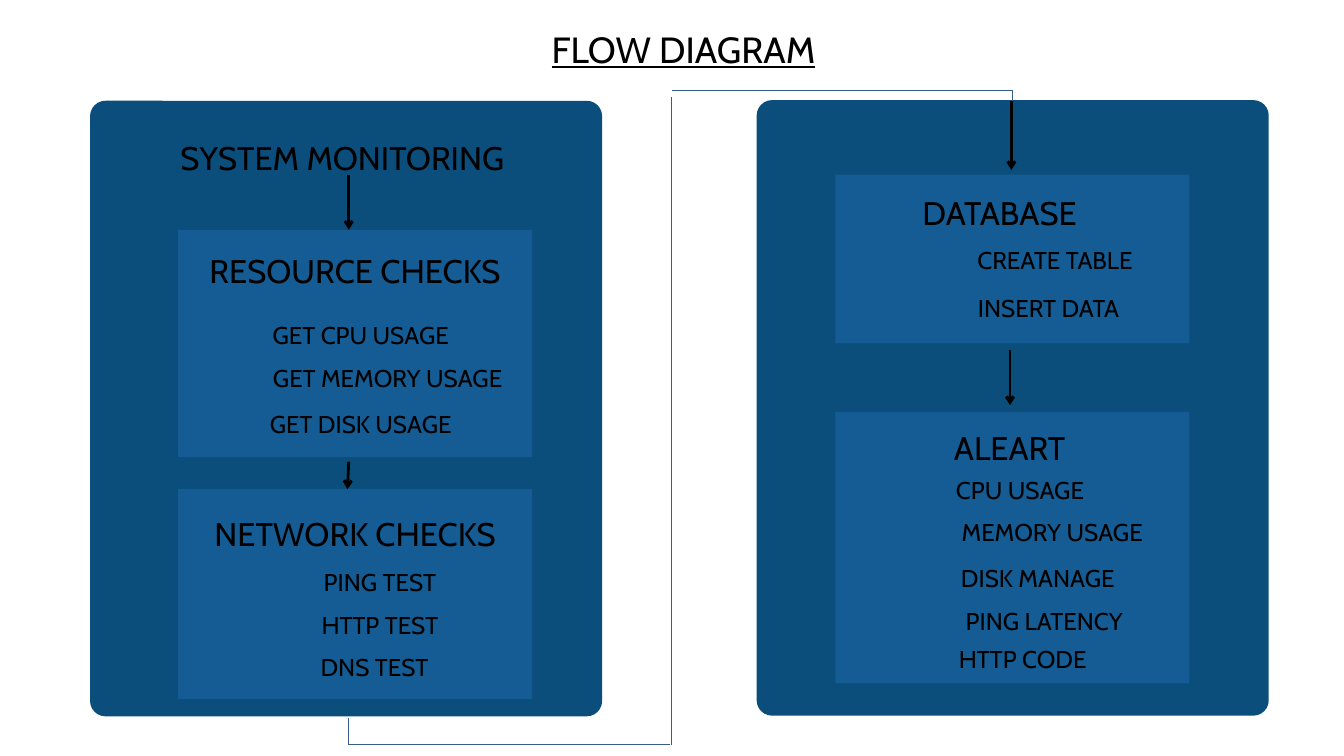
from lxml.etree import SubElement
from pptx import Presentation
from pptx.dml.color import RGBColor
from pptx.enum.shapes import MSO_CONNECTOR, MSO_SHAPE
from pptx.enum.text import MSO_ANCHOR, MSO_AUTO_SIZE, PP_ALIGN
from pptx.oxml.ns import qn
from pptx.util import Inches, Pt

COLORS = {"panel": "0B4E7C", "box": "155C94", "text": "000000",
          "arrow": "000000", "link": "375D8B"}
FRAME = {"margin_left": 0, "margin_top": 0, "margin_right": 0, "margin_bottom": 0,
         "word_wrap": True, "auto_size": MSO_AUTO_SIZE.NONE,
         "vertical_anchor": MSO_ANCHOR.TOP}


def color(name):
    return RGBColor.from_string(COLORS[name])


def write(sp, text, size, underline=None):
    tf = sp.text_frame
    for name, value in FRAME.items():
        setattr(tf, name, value)
    p = tf.paragraphs[0]
    p.alignment = PP_ALIGN.CENTER
    p.line_spacing = Pt(size * 1.4)
    r = p.add_run()
    r.text = text
    font = {"name": "Cabin", "size": Pt(size), "underline": underline}
    for name, value in font.items():
        setattr(r.font, name, value)
    r.font.color.rgb = color("text")


prs = Presentation()
prs.slide_width, prs.slide_height = Inches(20), Inches(11.25)
s = prs.slides.add_slide(prs.slide_layouts[5])

# Title
title = s.shapes.title
title.left, title.top = Inches(6.54), Inches(0.29)
title.width, title.height = Inches(7.26), Inches(0.76)
write(title, "FLOW DIAGRAM", 39, True)

# Panels and the boxes inside them
blocks = [
    ("panel", 1.34, 1.5, 7.62, 9.16),
    ("panel", 11.26, 1.49, 7.62, 9.16),
    ("box", 2.65, 3.42, 5.27, 3.38),
    ("box", 2.65, 7.28, 5.27, 3.12),
    ("box", 12.43, 2.6, 5.27, 2.51),
    ("box", 12.43, 6.13, 5.27, 4.04),
]
for kind, *place in blocks:
    preset = MSO_SHAPE.ROUNDED_RECTANGLE if kind == "panel" else MSO_SHAPE.RECTANGLE
    sp = s.shapes.add_shape(preset, *map(Inches, place))
    if kind == "panel":
        sp.adjustments[0] = 0.03
    sp.shadow.inherit = False
    sp.fill.solid()
    sp.fill.fore_color.rgb = color(kind)
    sp.line.fill.background()

# Headings and steps: text, left, top, width
headings = [
    ("SYSTEM MONITORING ", 1.57, 1.95, 7.16),
    ("RESOURCE CHECKS", 2.65, 3.64, 5.27),
    ("NETWORK CHECKS", 2.65, 7.55, 5.27),
    ("DATABASE ", 12.39, 2.77, 5.08),
    ("ALEART", 12.39, 6.27, 5.27),
]
steps = [
    ("GET CPU USAGE", 3.38, 4.7, 3.98),
    ("GET MEMORY USAGE", 3.62, 5.34, 4.3),
    ("GET DISK USAGE", 3.62, 6.02, 3.5),
    ("PING TEST", 3.88, 8.37, 3.55),
    ("HTTP TEST", 4.11, 9.01, 3.09),
    ("DNS TEST", 4.11, 9.63, 2.93),
    ("CREATE TABLE", 13.74, 3.58, 3.92),
    ("INSERT DATA", 13.74, 4.29, 3.73),
    ("CPU USAGE", 13.45, 7, 3.46),
    ("MEMORY USAGE", 13.33, 7.62, 4.66),
    ("DISK MANAGE", 13.33, 8.31, 4.23),
    ("PING LATENCY", 13.33, 8.95, 4.42),
    ("HTTP CODE", 13.33, 9.52, 3.78),
]
for labels, size, height in ((headings, 35, 0.65), (steps, 26, 0.51)):
    for text, left, top, width in labels:
        sp = s.shapes.add_textbox(*map(Inches, (left, top, width, height)))
        write(sp, text, size)

# Arrows between steps, and the thin link from the left panel to the right one
lines = [
    ("arrow", 5.19, 2.6, 5.19, 3.42),
    ("arrow", 5.19, 6.87, 5.17, 7.28),
    ("arrow", 15.05, 1.51, 15.05, 2.53),
    ("arrow", 15.03, 5.21, 15.03, 6.03),
    ("link", 5.19, 10.68, 5.19, 11.08),
    ("link", 5.18, 11.08, 9.97, 11.08),
    ("link", 9.99, 1.44, 9.99, 11.08),
    ("link", 10, 1.35, 15.07, 1.35),
    ("link", 15.07, 1.35, 15.07, 1.51),
]
for kind, *ends in lines:
    line = s.shapes.add_connector(MSO_CONNECTOR.STRAIGHT, *map(Inches, ends))
    line.line.color.rgb = color(kind)
    line.line.width = Pt(3 if kind == "arrow" else 0.75)
    if kind == "arrow":
        SubElement(line.line._get_or_add_ln(), qn("a:tailEnd"), type="arrow")
    SubElement(line._element.spPr, qn("a:effectLst"))

prs.save("out.pptx")
